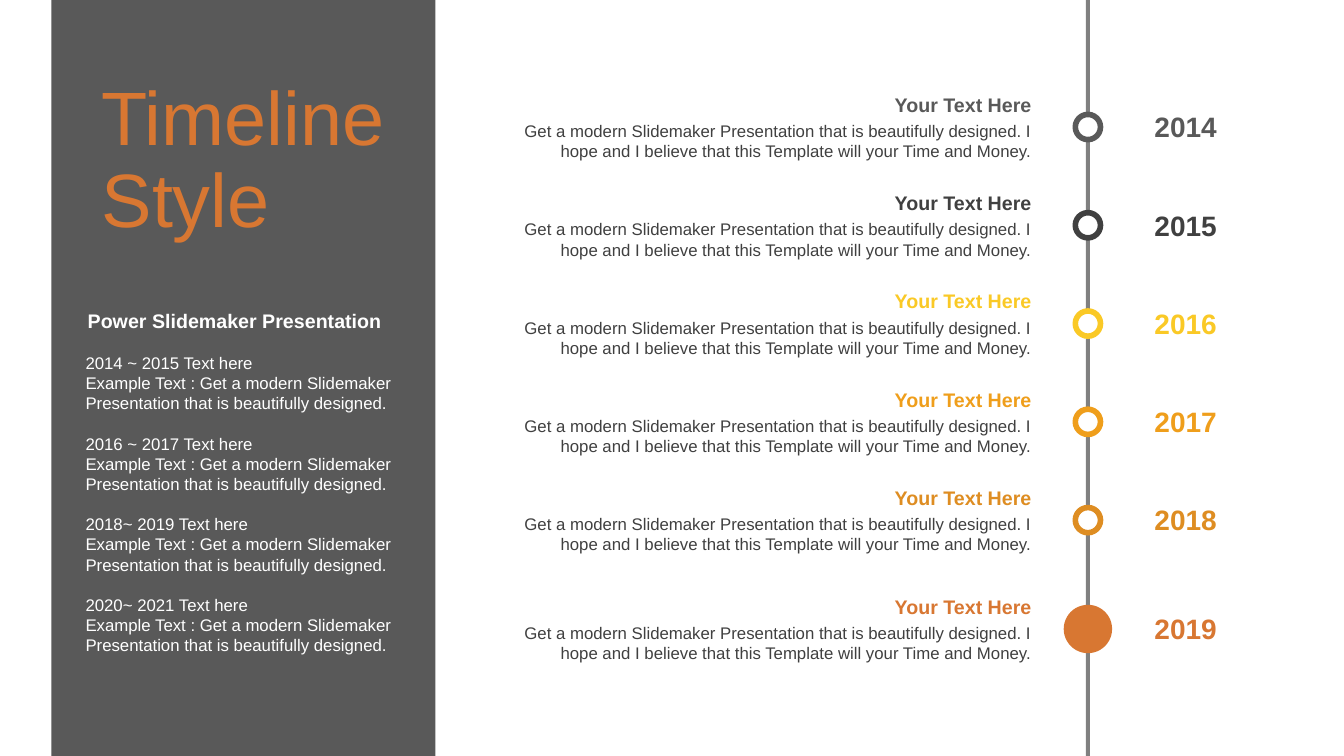
from pptx import Presentation
from pptx import util as u
from pptx.dml import color
from pptx.enum import shapes, text

FONT = "Arial"
GREY, DARK, ORANGE, WHITE = "595959", "404040", "D87732", "FFFFFF"
PITCH = 0.975
FIRST_CENTER, LAST_CENTER = 1.26, 6.24
MILESTONES = [
    ("2014", GREY),
    ("2015", DARK),
    ("2016", "FAC926"),
    ("2017", "EF9E1B"),
    ("2018", "DE8D22"),
    ("2019", ORANGE),
]
DESCRIPTION = (
    "Get a modern Slidemaker Presentation that is beautifully designed. "
    "I hope and I believe that this Template will your Time and Money."
)
PERIODS = ["2014 ~ 2015 Text here", "2016 ~ 2017 Text here",
           "2018~ 2019 Text here", "2020~ 2021 Text here"]
EXAMPLE = "Example Text : Get a modern Slidemaker Presentation that is beautifully designed."


def rgb(value):
    """Turn a hex string into a colour."""
    return color.RGBColor.from_string(value)


def add_shape(slide, kind, left, top, width, height, fill, line=None):
    """Add a flat preset shape with an optional 4 pt outline."""
    shape = slide.shapes.add_shape(
        kind, u.Inches(left), u.Inches(top), u.Inches(width), u.Inches(height))
    shape.shadow.inherit = False
    shape.fill.solid()
    shape.fill.fore_color.rgb = rgb(fill)
    if line:
        shape.line.color.rgb = rgb(line)
        shape.line.width = u.Pt(4)
    else:
        shape.line.fill.background()
    return shape


def add_text_box(slide, left, top, width, height):
    """Add an empty wrapping text box and return its text frame."""
    box = slide.shapes.add_textbox(
        u.Inches(left), u.Inches(top), u.Inches(width), u.Inches(height))
    box.text_frame.word_wrap = True
    return box.text_frame


def add_run(paragraph, words, size, fill, bold=False, align=text.PP_ALIGN.LEFT):
    """Add one formatted run to a paragraph and align it."""
    paragraph.alignment = align
    run = paragraph.add_run()
    run.text = words
    run.font.name = FONT
    run.font.size = u.Pt(size)
    run.font.bold = bold
    run.font.color.rgb = rgb(fill)


def add_sidebar(slide, left, top, width, height):
    """Build the grey panel with the title and the list of periods."""
    add_shape(slide, shapes.MSO_SHAPE.RECTANGLE, left, top, width, height, GREY)

    title = add_text_box(slide, left + 0.4, top + 0.63, 3.01, 1.96)
    title.vertical_anchor = text.MSO_ANCHOR.MIDDLE
    title.paragraphs[0].line_spacing = 0.9
    add_run(title.paragraphs[0], "Timeline Style", 54, ORANGE)

    heading = add_text_box(slide, left + 0.24, top + 3.02, 3.33, 0.34)
    heading.margin_left = heading.margin_right = u.Inches(0.12)
    add_run(heading.paragraphs[0], "Power Slidemaker Presentation", 14, WHITE, True)

    periods = add_text_box(slide, left + 0.24, top + 3.45, 3.33, 3.13)
    for index, period in enumerate(PERIODS):
        paragraph = periods.add_paragraph() if index else periods.paragraphs[0]
        if index:
            paragraph.space_before = u.Pt(14.4)
        add_run(paragraph, period, 12, WHITE)
        add_run(periods.add_paragraph(), EXAMPLE, 12, WHITE)


def add_milestone(slide, left, center, axis, year, fill, is_last):
    """Build one milestone around a vertical center: texts, marker and year."""
    diameter = 0.48 if is_last else 0.25
    add_shape(slide, shapes.MSO_SHAPE.OVAL, axis - diameter / 2, center - diameter / 2,
              diameter, diameter, fill if is_last else WHITE, None if is_last else fill)

    heading = add_text_box(slide, left, center - 0.39, 5.64, 0.34)
    add_run(heading.paragraphs[0], "Your Text Here", 14, fill, True, text.PP_ALIGN.RIGHT)

    body = add_text_box(slide, left, center - 0.11, 5.64, 0.5)
    body.margin_left = u.Inches(0.2)
    add_run(body.paragraphs[0], DESCRIPTION, 12, DARK, align=text.PP_ALIGN.RIGHT)

    label = add_text_box(slide, axis + 0.38, center - 0.22, 1.18, 0.44)
    add_run(label.paragraphs[0], year, 20, fill, True, text.PP_ALIGN.CENTER)


def add_timeline(slide, left, top, axis, height):
    """Build the vertical axis and its evenly spaced milestones."""
    add_shape(slide, shapes.MSO_SHAPE.RECTANGLE, axis - 0.02, top, 0.04, height, "808080")
    for index, (year, fill) in enumerate(MILESTONES):
        is_last = index == len(MILESTONES) - 1
        center = top + (LAST_CENTER if is_last else FIRST_CENTER + index * PITCH)
        add_milestone(slide, left, center, axis, year, fill, is_last)


def main():
    """Create and save the timeline slide."""
    presentation = Presentation()
    presentation.slide_width = u.Inches(13.33)
    presentation.slide_height = u.Inches(7.5)
    slide = presentation.slides.add_slide(presentation.slide_layouts[6])
    add_sidebar(slide, 0.51, 0, 3.81, 7.5)
    add_timeline(slide, 4.69, 0, 10.79, 7.5)
    presentation.save("out.pptx")


if __name__ == "__main__":
    main()
